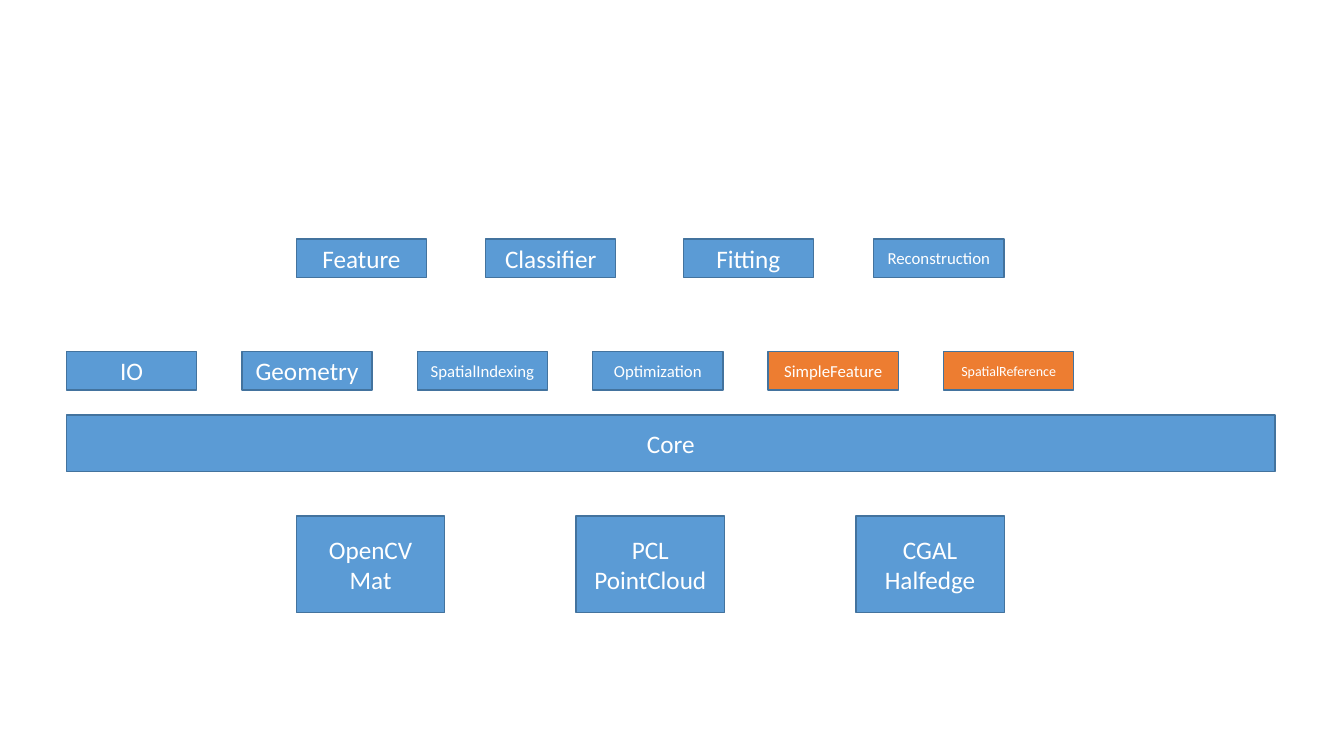
from pptx import Presentation
from pptx.dml.color import RGBColor
from pptx.enum.shapes import MSO_SHAPE
from pptx.enum.text import MSO_ANCHOR, PP_ALIGN
from pptx.util import Cm, Pt

BLUE = RGBColor(0x5B, 0x9B, 0xD5)
ORANGE = RGBColor(0xED, 0x7D, 0x31)
OUTLINE = RGBColor(0x43, 0x73, 0x9E)
WHITE = RGBColor(0xFF, 0xFF, 0xFF)

CORE_LEFT = 1.68
INNER_LEFT = 7.47
MODULE_SIZE = (3.28, 0.97)
LIBRARY_SIZE = (3.74, 2.44)
MODULE_PITCH = 4.42
LIBRARY_PITCH = 7.05

LIBRARIES = ["OpenCV\nMat", "PCL\nPointCloud", "CGAL\nHalfedge"]
MODULES = [
    ("IO", 18, BLUE),
    ("Geometry", 18, BLUE),
    ("SpatialIndexing", 12, BLUE),
    ("Optimization", 12, BLUE),
    ("SimpleFeature", 12, ORANGE),
    ("SpatialReference", 10, ORANGE),
]
ALGORITHMS = [
    ("Feature", 18, INNER_LEFT),
    ("Classifier", 18, 12.24),
    ("Fitting", 18, 17.22),
    ("Reconstruction", 12, 22.02),
]


class ArchitectureSlide:
    """Holds the style of the layer diagram and the slide it is drawn on."""

    font_name = "Calibri"
    line_width = Pt(1)

    def __init__(self, presentation):
        self.slide = presentation.slides.add_slide(presentation.slide_layouts[6])

    def box(self, label, left, top, size, points=18, fill=BLUE):
        """Add a labelled rectangle; lengths are in centimetres."""
        width, height = size
        box = self.slide.shapes.add_shape(
            MSO_SHAPE.RECTANGLE, Cm(left), Cm(top), Cm(width), Cm(height))
        box.shadow.inherit = False
        box.fill.solid()
        box.fill.fore_color.rgb = fill
        box.line.color.rgb = OUTLINE
        box.line.width = self.line_width

        frame = box.text_frame
        frame.word_wrap = True
        frame.vertical_anchor = MSO_ANCHOR.MIDDLE
        frame.text = label
        for paragraph in frame.paragraphs:
            paragraph.alignment = PP_ALIGN.CENTER
            for run in paragraph.runs:
                run.font.name = self.font_name
                run.font.size = Pt(points)
                run.font.color.rgb = WHITE


def main():
    presentation = Presentation()
    presentation.slide_width = Cm(33.87)
    presentation.slide_height = Cm(19.05)
    diagram = ArchitectureSlide(presentation)

    diagram.box("Core", CORE_LEFT, 10.46, (30.45, 1.42))
    for column, library in enumerate(LIBRARIES):
        diagram.box(library, INNER_LEFT + column * LIBRARY_PITCH, 13, LIBRARY_SIZE)
    for column, (module, points, fill) in enumerate(MODULES):
        diagram.box(module, CORE_LEFT + column * MODULE_PITCH, 8.86,
                    MODULE_SIZE, points, fill)
    for algorithm, points, left in ALGORITHMS:
        diagram.box(algorithm, left, 6.02, MODULE_SIZE, points)

    presentation.save("out.pptx")


if __name__ == "__main__":
    main()
